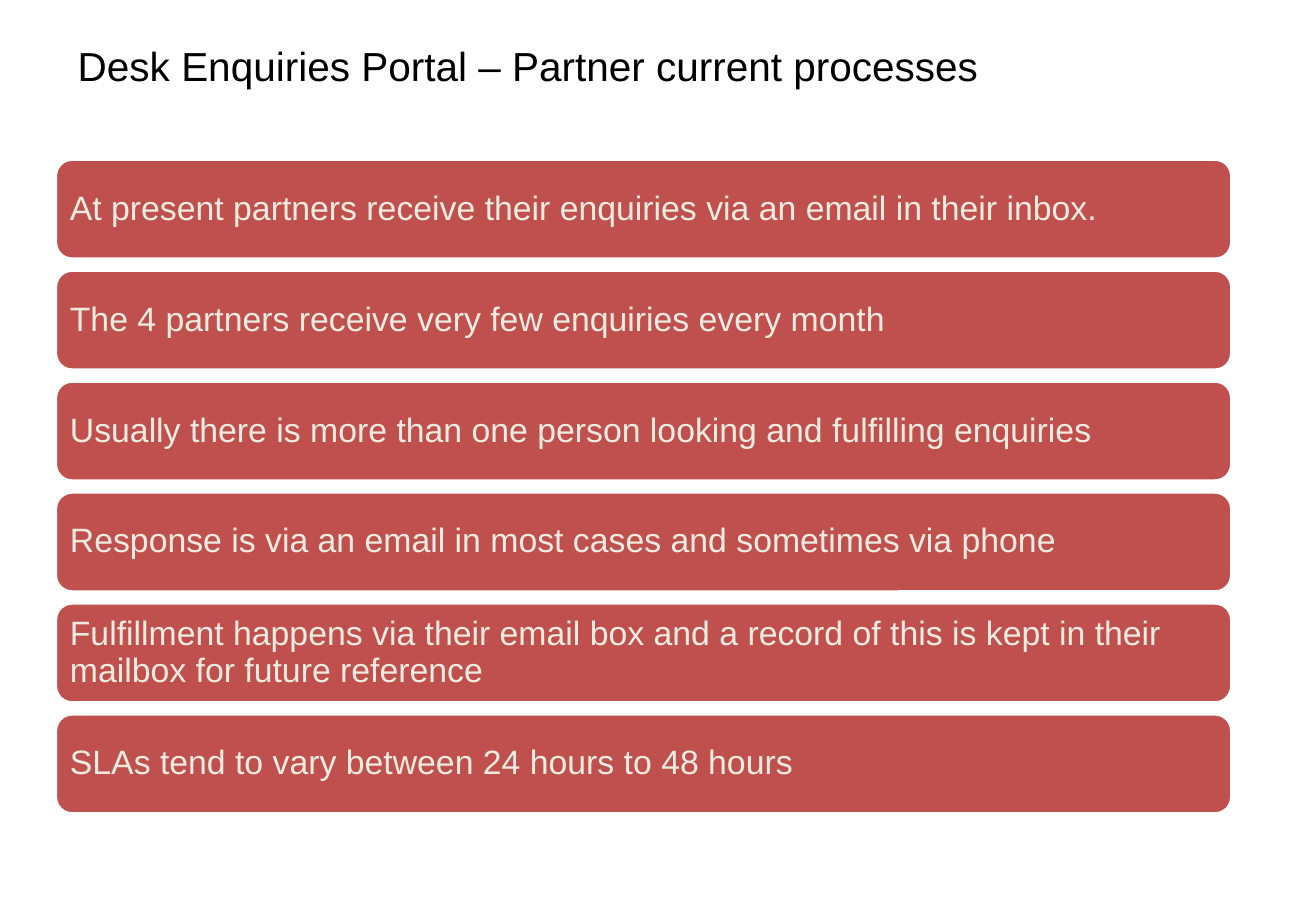
"""Build the slide on how partners currently process enquiries."""
from dataclasses import dataclass

from pptx import Presentation
from pptx.dml.color import RGBColor
from pptx.enum.shapes import MSO_SHAPE
from pptx.enum.text import MSO_ANCHOR, MSO_AUTO_SIZE, PP_ALIGN
from pptx.util import Cm, Pt

ROUNDED = MSO_SHAPE.ROUNDED_RECTANGLE
TOP, MIDDLE = MSO_ANCHOR.TOP, MSO_ANCHOR.MIDDLE
LEFT = PP_ALIGN.LEFT
NO_AUTOFIT = MSO_AUTO_SIZE.NONE
TITLE_ONLY = 5

TITLE = "Desk Enquiries Portal – Partner current processes"
PROCESSES = [
    "At present partners receive their enquiries via an email in their inbox.",
    "The 4 partners receive very few enquiries every month",
    "Usually there is more than one person looking and fulfilling enquiries",
    "Response is via an email in most cases and sometimes via phone",
    "Fulfillment happens via their email box and a record of this is kept in their mailbox for future reference",
    "SLAs tend to vary between 24 hours to 48 hours",
]

SLIDE_WIDTH, SLIDE_HEIGHT = Cm(27.51), Cm(19.05)
TITLE_BOX = Cm(1.37), Cm(0.74), Cm(24.77), Cm(3.18)
BAR_LEFT, BAR_TOP = Cm(1.16), Cm(3.33)
BAR_WIDTH, BAR_HEIGHT = Cm(24.59), Cm(2.09)
BAR_PITCH = Cm(2.32)
BAR_INSET = Cm(0.2)


@dataclass(frozen=True)
class Theme:
    font: str = "Arial"
    title_size: Pt = Pt(24)
    bar_size: Pt = Pt(20)
    line_width: Pt = Pt(2)
    title_color: RGBColor = RGBColor(0x00, 0x00, 0x00)
    bar_fill: RGBColor = RGBColor(0xC0, 0x50, 0x4D)
    bar_line: RGBColor = RGBColor(0xFF, 0xFF, 0xFF)
    bar_text: RGBColor = RGBColor(0xEE, 0xEC, 0xE1)


THEME = Theme()


def write_text(shape, text, size, color, anchor):
    frame = shape.text_frame
    frame.text = text
    frame.word_wrap = True
    frame.auto_size = NO_AUTOFIT
    frame.vertical_anchor = anchor
    paragraph = frame.paragraphs[0]
    paragraph.alignment = LEFT
    font = paragraph.runs[0].font
    font.name, font.size = THEME.font, size
    font.color.rgb = color
    return paragraph


def add_title(slide):
    title = slide.shapes.title
    title.left, title.top, title.width, title.height = TITLE_BOX
    paragraph = write_text(title, TITLE, THEME.title_size, THEME.title_color, TOP)
    paragraph.space_before, paragraph.space_after = Pt(0), Pt(6)


def add_process_bar(slide, index, text):
    top = BAR_TOP + index * BAR_PITCH
    bar = slide.shapes.add_shape(ROUNDED, BAR_LEFT, top, BAR_WIDTH, BAR_HEIGHT)
    bar.shadow.inherit = False
    bar.fill.solid()
    bar.fill.fore_color.rgb = THEME.bar_fill
    bar.line.color.rgb = THEME.bar_line
    bar.line.width = THEME.line_width
    frame = bar.text_frame
    frame.margin_left = frame.margin_right = BAR_INSET
    frame.margin_top = frame.margin_bottom = BAR_INSET
    paragraph = write_text(bar, text, THEME.bar_size, THEME.bar_text, MIDDLE)
    paragraph.line_spacing = 0.9


def main():
    presentation = Presentation()
    presentation.slide_width = SLIDE_WIDTH
    presentation.slide_height = SLIDE_HEIGHT
    slide = presentation.slides.add_slide(presentation.slide_layouts[TITLE_ONLY])
    add_title(slide)
    for index, text in enumerate(PROCESSES):
        add_process_bar(slide, index, text)
    presentation.save("out.pptx")


if __name__ == "__main__":
    main()
